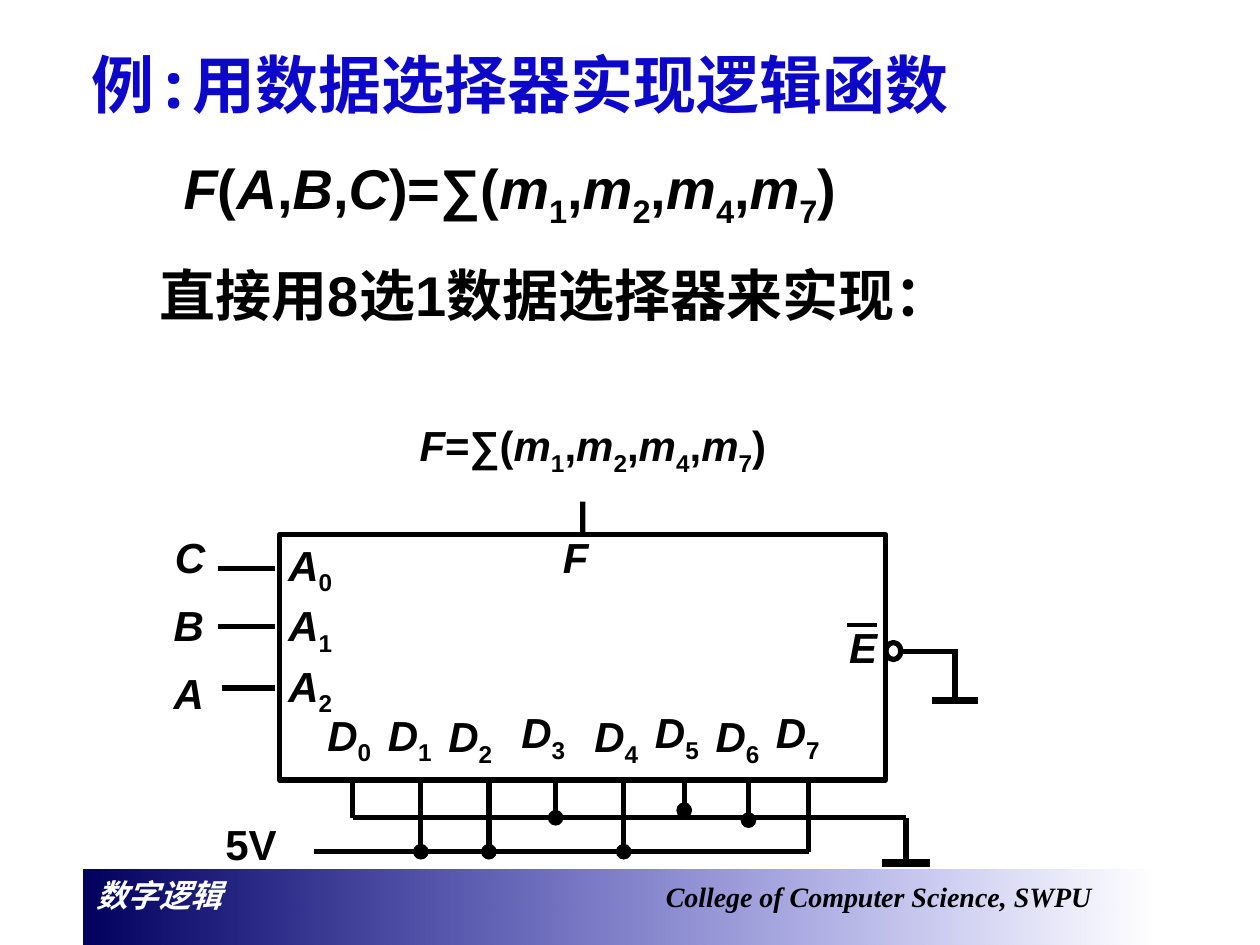
from itertools import groupby

from lxml import etree
from pptx import Presentation
from pptx.dml.color import RGBColor
from pptx.enum import shapes, text
from pptx.oxml.ns import qn
from pptx.util import Pt

BLACK = "000000"
BLOCK_BOTTOM, GROUND_RAIL, SUPPLY_RAIL = 445.7, 467.3, 486.7

# Data inputs: name, label left, label top, pin x, pin end, dot at the end
DATA_INPUTS = [
    ("D0", 180, 401.8, 201.6, GROUND_RAIL, False),
    ("D1", 214.6, 401.8, 240.5, SUPPLY_RAIL, True),
    ("D2", 249.1, 402.5, 279.4, SUPPLY_RAIL, True),
    ("D3", 290.9, 400.3, 317.5, GROUND_RAIL, True),
    ("D4", 332.6, 402.5, 356.4, SUPPLY_RAIL, True),
    ("D5", 367.2, 400.3, 391, 463, True),
    ("D6", 401.8, 402.5, 427.7, 468.7, True),
    ("D7", 436.3, 400.3, 462.2, SUPPLY_RAIL, False),
]

# Address inputs: variable, its left and top, input name, its top, wire start, wire y
ADDRESS_INPUTS = [
    ("C", 92.9, 300.2, "A0", 304.6, 124.6, 324.7),
    ("B", 92.2, 339.1, "A1", 339.1, 124.6, 358),
    ("A", 92.2, 378, "A2", 373.7, 126.7, 393.1),
]


def rgb(value):
    return RGBColor.from_string(value)


def set_font(font, size, color=BLACK, name="Arial"):
    font.size, font.name, font.bold = Pt(size), name, True
    font.color.rgb = rgb(color)


def add_text(slide, left, top, width, height, size, words="",
             color=BLACK, name="Arial", align=text.PP_ALIGN.LEFT):
    frame = slide.shapes.add_textbox(Pt(left), Pt(top), Pt(width), Pt(height)).text_frame
    frame.word_wrap = True
    paragraph = frame.paragraphs[0]
    paragraph.alignment = align
    set_font(paragraph.font, size, color, name)
    if words:
        paragraph.add_run().text = words
    return paragraph


def add_formula(slide, left, top, width, height, size, formula, **style):
    """Letters are italic, digits are subscripts, the rest is upright."""
    paragraph = add_text(slide, left, top, width, height, size, **style)
    for (letters, digits), part in groupby(formula, lambda c: (c.isalpha(), c.isdigit())):
        run = paragraph.add_run()
        run.text = "".join(part)
        run.font.italic = letters
        if digits:
            run.font._element.set("baseline", "-25000")


def add_wire(slide, x1, y1, x2, y2, width=3, dot=False):
    wire = slide.shapes.add_connector(
        shapes.MSO_CONNECTOR.STRAIGHT, Pt(x1), Pt(y1), Pt(x2), Pt(y2))
    wire.line.color.rgb = rgb(BLACK)
    wire.line.width = Pt(width)
    if dot:
        line = wire.line._get_or_add_ln()
        etree.SubElement(line, qn("a:tailEnd"), type="oval")
    etree.SubElement(wire._element.spPr, qn("a:effectLst"))
    return wire


def add_outline(slide, kind, left, top, width, height):
    outline = slide.shapes.add_shape(kind, Pt(left), Pt(top), Pt(width), Pt(height))
    outline.shadow.inherit = False
    outline.fill.background()
    outline.line.color.rgb = rgb(BLACK)
    outline.line.width = Pt(3)
    return outline


def add_footer(slide):
    band = slide.shapes.add_shape(
        shapes.MSO_SHAPE.RECTANGLE, Pt(48), Pt(496.8), Pt(612), Pt(50.4))
    band.shadow.inherit = False
    band.line.fill.background()
    band.fill.gradient()
    band.fill.gradient_angle = 0
    for stop, color, position in zip(band.fill.gradient_stops, ("00005E", "0000CC"), (0, 1)):
        stop.color.rgb = rgb(color)
        stop.position = position
    # The right end fades out
    end_color = band.fill._xPr.findall(".//" + qn("a:srgbClr"))[-1]
    etree.SubElement(end_color, qn("a:alpha"), val="0")

    band.text_frame.vertical_anchor = text.MSO_ANCHOR.TOP
    paragraph = band.text_frame.paragraphs[0]
    paragraph.alignment = text.PP_ALIGN.LEFT
    tabs = etree.SubElement(paragraph._p.get_or_add_pPr(), qn("a:tabLst"))
    etree.SubElement(tabs, qn("a:tab"), pos=str(Pt(325.4)), algn="l")
    set_font(paragraph.font, 18, "FFFFFF", "Times New Roman")
    paragraph.font.italic = True
    for words, size, color in (("数字逻辑\t", 18, "FFFFFF"),
                               ("College of Computer Science, SWPU", 16, BLACK)):
        run = paragraph.add_run()
        run.text = words
        run.font.size = Pt(size)
        run.font.color.rgb = rgb(color)


def add_ground(slide, x, top, bottom, half_width):
    add_wire(slide, x, top, x, bottom)
    add_wire(slide, x - half_width, bottom, x + half_width, bottom, 4.5)


def add_multiplexer(slide):
    block = add_outline(slide, shapes.MSO_SHAPE.RECTANGLE, 159.8, 305.3, 346.3, 140.4)

    # Output
    output = add_wire(slide, 333, 286.6, 333, 305.3)
    output.end_connect(block, 0)
    add_formula(slide, 314.6, 300.2, 79.2, 56.9, 24, "F")
    add_formula(slide, 209.5, 236.2, 258.5, 43.2, 24, "F=∑(m1,m2,m4,m7)",
                align=text.PP_ALIGN.CENTER)

    # Address inputs
    for variable, left, top, name, name_top, start, y in ADDRESS_INPUTS:
        add_formula(slide, left, top, 45, 46, 24, variable)
        add_formula(slide, 157.7, name_top, 67, 57.6, 24, name)
        add_wire(slide, start, y, 157, y)

    # Data inputs
    for name, left, top, x, end, dot in DATA_INPUTS:
        add_formula(slide, left, top, 67, 57.6, 24, name)
        add_wire(slide, x, BLOCK_BOTTOM, x, end, dot=dot)

    # Ground and supply rails
    add_wire(slide, 201.6, GROUND_RAIL, 517.7, GROUND_RAIL)
    add_ground(slide, 517.7, GROUND_RAIL, 493.2, 13.8)
    add_wire(slide, 462.2, SUPPLY_RAIL, 179.3, SUPPLY_RAIL)
    add_text(slide, 121.7, 464.4, 77, 43.2, 24, "5V")

    # Inverted enable input
    add_formula(slide, 478.1, 351.4, 45.4, 56.9, 24, "E")
    add_wire(slide, 483.8, 357.1, 501.1, 357.1, 2.25)
    add_outline(slide, shapes.MSO_SHAPE.OVAL, 506.2, 367.2, 8.6, 9.7)
    add_wire(slide, 514.8, 372.2, 547.2, 372.2)
    add_ground(slide, 545.8, 372.2, 400.3, 13)


def main():
    deck = Presentation()
    deck.slide_width, deck.slide_height = Pt(720), Pt(540)
    slide = deck.slides.add_slide(deck.slide_layouts[6])

    add_footer(slide)
    add_multiplexer(slide)

    # Title and task
    add_text(slide, 45.4, 22.3, 544.3, 50.4, 36, "例:用数据选择器实现逻辑函数",
             "0C07C9", "Noto Sans Mono")
    add_formula(slide, 97.9, 84.2, 414, 51.1, 32, "F(A,B,C)=∑(m1,m2,m4,m7)")
    add_text(slide, 84.2, 145.4, 517.7, 46.1, 32, "直接用8选1数据选择器来实现：")

    deck.save("out.pptx")


if __name__ == "__main__":
    main()
